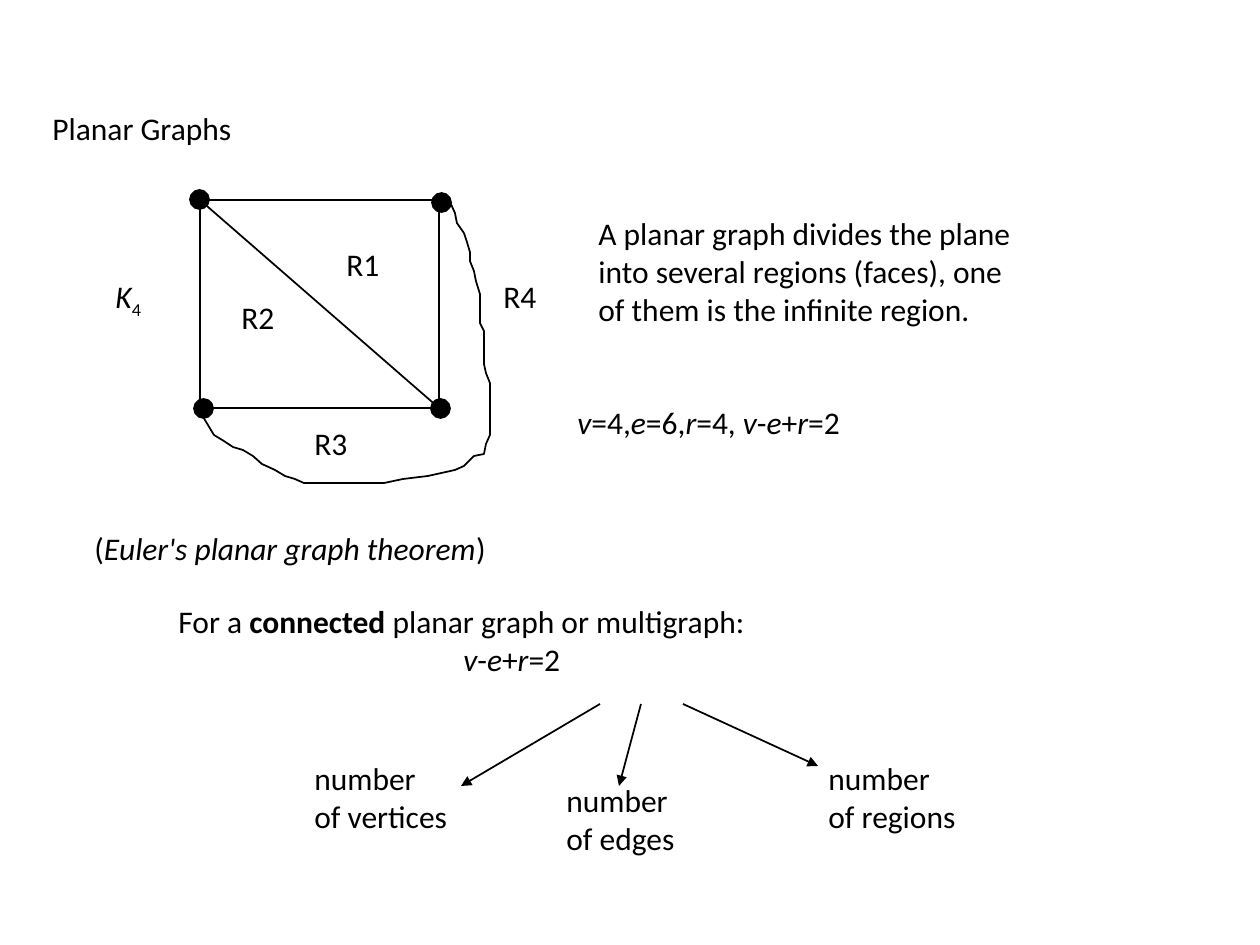
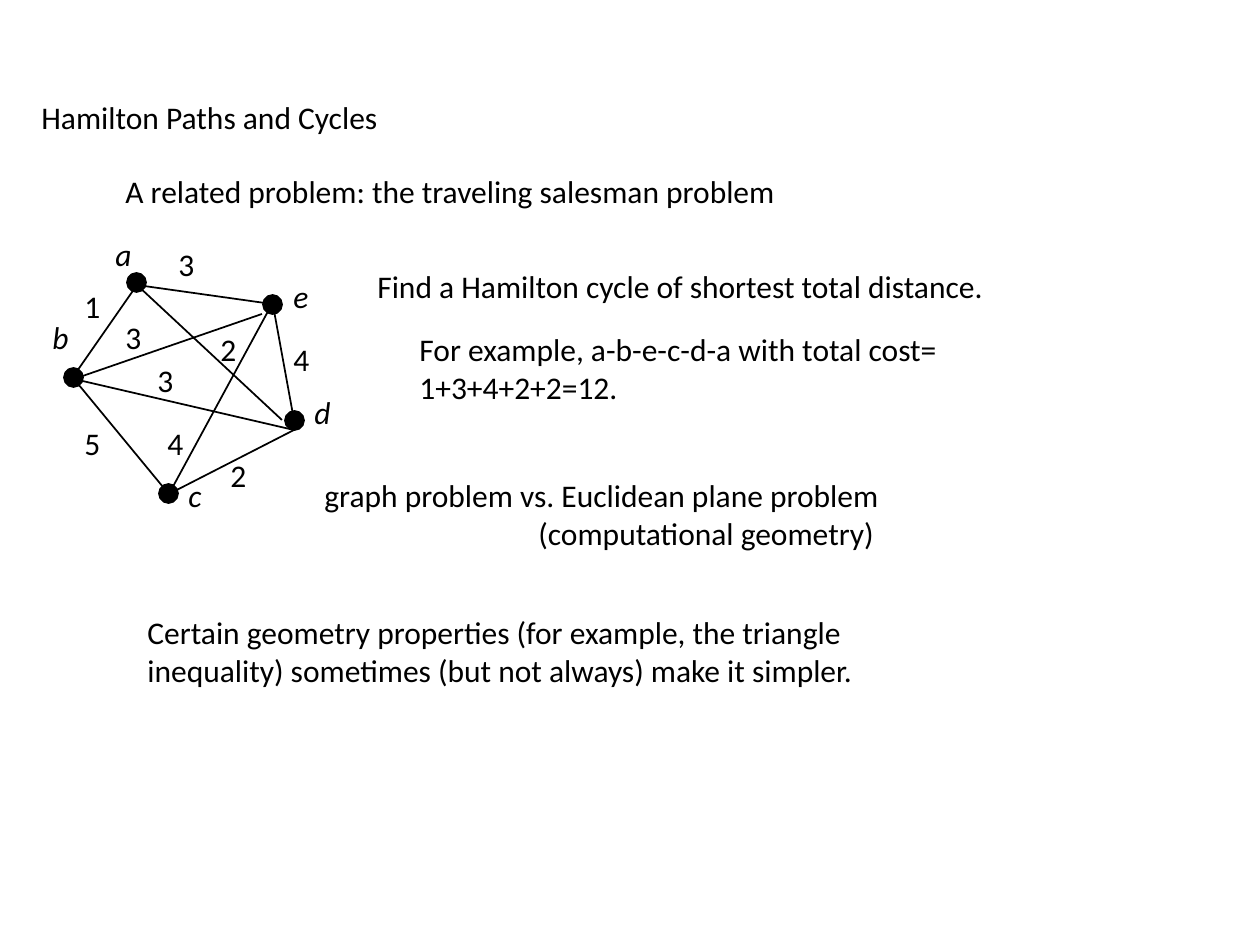
from dataclasses import dataclass

from lxml.etree import SubElement
from pptx import Presentation
from pptx.dml.color import RGBColor
from pptx.enum.shapes import MSO_CONNECTOR as Connector, MSO_SHAPE as Shape
from pptx.enum.text import MSO_AUTO_SIZE as AutoSize
from pptx.oxml.ns import qn
from pptx.util import Pt

PX = 914400 / 126  # EMU in one px


@dataclass(frozen=True)
class Theme:
    ink: RGBColor = RGBColor(0x00, 0x00, 0x00)
    font: str = "Calibri"
    text_size: Pt = Pt(18)
    line_width: Pt = Pt(1)
    dot: int = 19
    label_height: int = 63


THEME = Theme()
RUN_MARKS = {"*": "bold", "_": "italic", "~": "subscript"}


def add_text(slide, text, left, top, width, height=THEME.label_height, last_indent=0):
    """Split text at | into runs; a run that starts with *, _ or ~ is bold, italic or subscript."""
    box = slide.shapes.add_textbox(*(round(n * PX) for n in (left, top, width, height)))
    frame = box.text_frame
    frame.word_wrap = False
    frame.auto_size = AutoSize.SHAPE_TO_FIT_TEXT
    for number, line in enumerate(text.split("\n")):
        paragraph = frame.add_paragraph() if number else frame.paragraphs[0]
        for piece in filter(None, line.split("|")):
            style = RUN_MARKS.get(piece[0])
            run = paragraph.add_run()
            run.text = piece[1:] if style else piece
            run.font.name = THEME.font
            run.font.size = THEME.text_size
            run.font.color.rgb = THEME.ink
            run.font.bold = style == "bold"
            run.font.italic = style == "italic"
            if style == "subscript":
                run._r.get_or_add_rPr().set("baseline", "-25000")
    if last_indent:
        paragraph._p.get_or_add_pPr().set("marL", str(round(last_indent * PX)))


def add_line(slide, start, end, arrow=False):
    line = slide.shapes.add_connector(
        Connector.STRAIGHT, *(round(n * PX) for n in (*start, *end)))
    line.line.color.rgb = THEME.ink
    line.line.width = THEME.line_width
    if arrow:
        SubElement(line.line._get_or_add_ln(), qn("a:tailEnd"), type="triangle")
    SubElement(line._element.spPr, qn("a:effectLst"))


presentation = Presentation()
presentation.slide_width = round(1260 * PX)
presentation.slide_height = round(945 * PX)
blank = presentation.slide_layouts[6]
planar = presentation.slides.add_slide(blank)
hamilton = presentation.slides.add_slide(blank)

# Titles and vertices on both slides
add_text(planar, "Planar Graphs", 40, 103, 207, 50)
add_text(hamilton, "Hamilton Paths and Cycles", 29, 92, 365, 50)

vertices = [
    (planar, [(194, 399), (431, 399), (190, 190), (432, 193)]),
    (hamilton, [(127, 273), (64, 368), (159, 484), (263, 295), (285, 411)]),
]
for slide, corners in vertices:
    for left, top in corners:
        dot = slide.shapes.add_shape(
            Shape.OVAL, *(round(n * PX) for n in (left, top, THEME.dot, THEME.dot)))
        dot.shadow.inherit = False
        dot.fill.solid()
        dot.fill.fore_color.rgb = THEME.ink
        dot.line.color.rgb = THEME.ink
        dot.line.width = THEME.line_width

# Planar graph K4: square, diagonal and the outer edge
square = planar.shapes.add_shape(
    Shape.RECTANGLE, *(round(n * PX) for n in (200, 200, 239, 208)))
outer_points = [
    (441, 199), (451, 204), (455, 213), (457, 223), (464, 233), (467, 242),
    (470, 252), (470, 261), (474, 271), (476, 281), (480, 294), (480, 323),
    (484, 331), (484, 364), (486, 373), (490, 383), (490, 435), (486, 444),
    (484, 454), (474, 456), (464, 466), (455, 470), (428, 476), (403, 479),
    (384, 483), (304, 483), (295, 479), (285, 476), (275, 470), (262, 464),
    (253, 456), (243, 450), (233, 447), (224, 441), (214, 435), (208, 425),
    (202, 415), (199, 410),
]
builder = planar.shapes.build_freeform(*outer_points[0], scale=PX)
builder.add_line_segments(outer_points[1:], close=False)
outer_edge = builder.convert_to_shape()
for outline in (square, outer_edge):
    outline.shadow.inherit = False
    outline.fill.background()
    outline.line.color.rgb = THEME.ink
    outline.line.width = THEME.line_width
add_line(planar, (200, 200), (439, 408))

add_text(planar, "|_K|~4", 103, 271, 67)
for region, left, top in [("R1", 334, 239), ("R2", 229, 292),
                          ("R3", 302, 418), ("R4", 491, 271)]:
    add_text(planar, region, left, top, 74)

# Euler's theorem
add_text(planar, "A planar graph divides the plane\ninto several regions (faces), one\n"
         "of them is the infinite region.", 586, 208, 571, 164)
add_text(planar, "|_v|=4,|_e|=6,|_r|=4, |_v|-|_e|+|_r|=2", 565, 397, 391)
add_text(planar, "(|_Euler's planar graph theorem|)", 82, 523, 421, 50)
add_text(planar, "For a |*connected| planar graph or multigraph:\n|_v|-|_e|+|_r|=2",
         166, 596, 786, 113, last_indent=285)
for counted, left, top, width, start, end in [
    ("vertices", 302, 753, 200, (600, 704), (461, 786)),
    ("edges", 554, 775, 166, (641, 704), (619, 786)),
    ("regions", 816, 753, 194, (683, 704), (818, 766)),
]:
    add_text(planar, f"number\nof {counted}", left, top, width, 113)
    add_line(planar, start, end, arrow=True)

# Weighted graph
edges = [
    ((137, 285), (73, 377)), ((74, 379), (168, 493)), ((169, 494), (272, 304)),
    ((273, 305), (294, 420)), ((137, 285), (272, 304)), ((137, 285), (282, 420)),
    ((74, 379), (262, 314)), ((74, 379), (294, 430)), ((169, 494), (294, 430)),
]
for start, end in edges:
    add_line(hamilton, start, end)

graph_labels = [
    ("|_a", 103, 229), ("|_b", 40, 312), ("|_c", 176, 470), ("|_d", 302, 387),
    ("|_e", 281, 271), ("3", 166, 239), ("4", 281, 334), ("1", 72, 281),
    ("3", 113, 312), ("5", 72, 418), ("4", 155, 418), ("3", 145, 355),
    ("2", 208, 324), ("2", 218, 450),
]
for label, left, top in graph_labels:
    add_text(hamilton, label, left, top, 45)

# Traveling salesman problem
add_text(hamilton, "A related problem: the traveling salesman problem", 113, 166, 877)
add_text(hamilton, "Find a Hamilton cycle of shortest total distance.", 365, 261, 829)
add_text(hamilton, "For example, a-b-e-c-d-a with total cost=\n1+3+4+2+2=12.",
         407, 324, 714, 113)
add_text(hamilton, "graph problem vs. Euclidean plane problem\n(computational geometry)",
         312, 470, 776, 113, last_indent=214)
add_text(hamilton, "Certain geometry properties (for example, the triangle\n"
         "inequality) sometimes (but not always) make it simpler.", 135, 607, 961, 113)

presentation.save("out.pptx")
